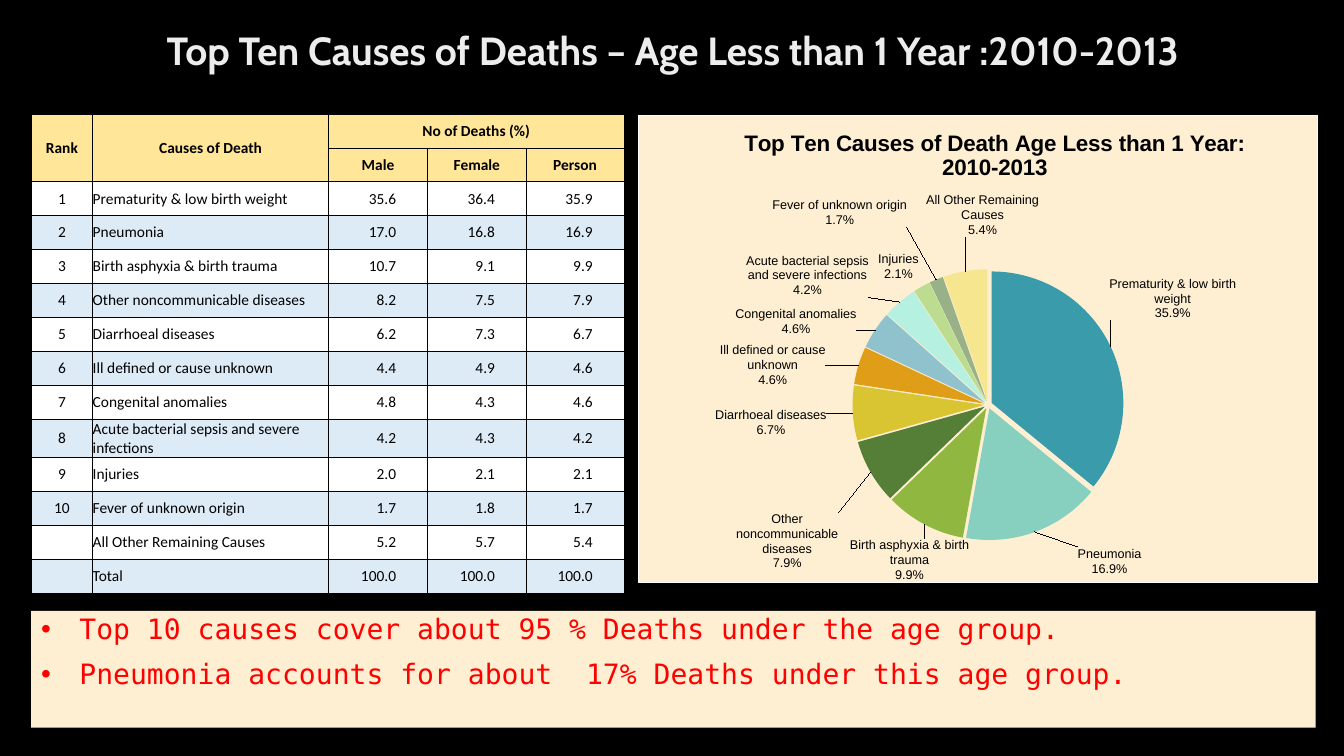
from lxml import etree
from pptx import Presentation
from pptx.chart.data import CategoryChartData
from pptx.dml.color import RGBColor
from pptx.enum.chart import XL_CHART_TYPE, XL_LABEL_POSITION
from pptx.enum.shapes import MSO_SHAPE
from pptx.enum.text import MSO_ANCHOR, PP_ALIGN
from pptx.oxml import parse_xml
from pptx.oxml.ns import nsdecls, qn
from pptx.util import Inches, Pt

PIE, OUTSIDE = XL_CHART_TYPE.PIE, XL_LABEL_POSITION.OUTSIDE_END
RECT, MIDDLE, TOP = MSO_SHAPE.RECTANGLE, MSO_ANCHOR.MIDDLE, MSO_ANCHOR.TOP
LEFT, CENTER, RIGHT, JUSTIFY = PP_ALIGN.LEFT, PP_ALIGN.CENTER, PP_ALIGN.RIGHT, PP_ALIGN.JUSTIFY

TITLE = "Top Ten Causes of Deaths – Age Less than 1 Year :2010-2013"
TITLE_STOPS = [(0, "BFBFBF"), (28, "EDEDED"), (100, "FFFFFF")]
NOTES = [
    "Top 10 causes cover about 95 % Deaths under the age group.",
    "Pneumonia accounts for about  17% Deaths under this age group.",
]
HEADER = [
    ("Rank", "Causes of Death", "No of Deaths (%)", "", ""),
    ("", "", "Male", "Female", "Person"),
]
CAUSES = [
    ("1", "Prematurity & low birth weight", 35.6, 36.4, 35.9),
    ("2", "Pneumonia", 17.0, 16.8, 16.9),
    ("3", "Birth asphyxia & birth trauma", 10.7, 9.1, 9.9),
    ("4", "Other noncommunicable diseases", 8.2, 7.5, 7.9),
    ("5", "Diarrhoeal diseases", 6.2, 7.3, 6.7),
    ("6", "Ill defined or cause unknown", 4.4, 4.9, 4.6),
    ("7", "Congenital anomalies", 4.8, 4.3, 4.6),
    ("8", "Acute bacterial sepsis and severe infections", 4.2, 4.3, 4.2),
    ("9", "Injuries", 2.0, 2.1, 2.1),
    ("10", "Fever of unknown origin", 1.7, 1.8, 1.7),
    ("", "All Other Remaining Causes", 5.2, 5.7, 5.4),
]
TOTAL = ("", "Total", 100.0, 100.0, 100.0)
MERGES = [((0, 0), (1, 0)), ((0, 1), (1, 1)), ((0, 2), (0, 4))]
COLUMNS = [0.61, 2.34, 0.98, 0.98, 0.97]
TABLE_HEIGHT, TALL_ROW, TALL_HEIGHT = 4.74, 9, 0.36
CHART_TITLE = "Top Ten Causes of Death Age Less than 1 Year: 2010-2013"
SLICES = ["3A9BAA", "87CFBE", "90B840", "557F37", "D9C432", "E09D18",
          "90C2CD", "B6F0E1", "BCDC90", "99B189", "F6E68F"]
LABEL_SHIFTS = [(-0.01, -0.05), (0.06, 0.02), (0.07, 0.02), (-0.04, 0.08),
                (-0.03, 0.02), (-0.04, 0.05), (-0.02, 0.02), (-0.04, 0),
                (0, 0), (-0.04, -0.1), (0.11, -0.06)]
CREAM = "FEEFD2"


def rgb(value):
    return RGBColor.from_string(value)


def box(*lengths):
    return [Inches(v) for v in lengths]


def add_text(p, text, size, font, color, bold=False):
    r = p.add_run()
    r.text = text
    r.font.size, r.font.name, r.font.bold = Pt(size), font, bold
    r.font.color.rgb = rgb(color)
    return r


def add_title(s):
    sp = s.shapes.title
    sp.left, sp.top, sp.width, sp.height = box(0.92, 0.19, 11.5, 0.67)
    sp.text_frame.vertical_anchor = MIDDLE
    p = sp.text_frame.paragraphs[0]
    p.alignment, p.line_spacing = CENTER, 0.9
    r = add_text(p, TITLE, 28, "Cabin", "EDEDED", True)
    stops = "".join(f'<a:gs pos="{pos * 1000}"><a:srgbClr val="{c}"/></a:gs>' for pos, c in TITLE_STOPS)
    rpr = r.font.fill._xPr
    rpr.replace(rpr.find(qn("a:solidFill")), parse_xml(
        f'<a:gradFill {nsdecls("a")}><a:gsLst>{stops}</a:gsLst><a:lin ang="4800000"/></a:gradFill>'))


def add_notes(s):
    sp = s.shapes.add_shape(RECT, *box(0.31, 6.06, 12.74, 1.16))
    sp.shadow.inherit = False
    sp.fill.solid()
    sp.fill.fore_color.rgb = rgb(CREAM)
    sp.line.fill.background()
    tf = sp.text_frame
    tf.word_wrap, tf.vertical_anchor = True, TOP
    for i, note in enumerate(NOTES):
        p = tf.add_paragraph() if i else tf.paragraphs[0]
        ppr = p._p.get_or_add_pPr()
        ppr.set("marL", str(Inches(0.38)))
        ppr.set("indent", str(-Inches(0.38)))
        ppr.append(parse_xml(f'<a:buFont {nsdecls("a")} typeface="Arial"/>'))
        ppr.append(parse_xml(f'<a:buChar {nsdecls("a")} char="•"/>'))
        p.alignment, p.line_spacing = JUSTIFY, 0.9
        p.space_before = Pt(10 if i else 0)
        add_text(p, note, 20, "DejaVu Sans Mono", "FF0000")


def format_cell(cell, row, col, value):
    header = row < len(HEADER)
    number = isinstance(value, float)
    cell.vertical_anchor = MIDDLE
    cell.margin_left = cell.margin_top = cell.margin_bottom = 0
    cell.margin_right = Inches(0.31 if number else 0)
    p = cell.text_frame.paragraphs[0]
    p.alignment = RIGHT if number else CENTER if header or col == 0 else LEFT
    if value != "":
        add_text(p, f"{value:.1f}" if number else value, 11, "Calibri", "000000", header)
    tcpr = cell._tc.get_or_add_tcPr()
    for side in ("lnL", "lnR", "lnT", "lnB"):
        tcpr.append(parse_xml(
            f'<a:{side} {nsdecls("a")} w="6350"><a:solidFill><a:srgbClr val="000000"/></a:solidFill></a:{side}>'))
    cell.fill.solid()
    cell.fill.fore_color.rgb = rgb("FFE699" if header else ("FFFFFF", "DDEBF7")[row % 2])


def add_causes_table(s):
    rows = HEADER + CAUSES + [TOTAL]
    table = s.shapes.add_table(len(rows), len(COLUMNS),
                               *box(0.31, 1.13, sum(COLUMNS), TABLE_HEIGHT)).table
    for col, width in enumerate(COLUMNS):
        table.columns[col].width = Inches(width)
    row_height = (TABLE_HEIGHT - TALL_HEIGHT) / (len(rows) - 1)
    for i, values in enumerate(rows):
        table.rows[i].height = Inches(TALL_HEIGHT if i == TALL_ROW else row_height)
        for col, value in enumerate(values):
            format_cell(table.cell(i, col), i, col, value)
    for first, last in MERGES:
        table.cell(*first).merge(table.cell(*last))


def layout_xml(x, y, extra=""):
    return (f'<c:layout {nsdecls("c")}><c:manualLayout>{extra}'
            f'<c:x val="{x}"/><c:y val="{y}"/></c:manualLayout></c:layout>')


def add_pie(s):
    data = CategoryChartData()
    data.categories = [cause[1] for cause in CAUSES]
    data.add_series("Series 1", [cause[-1] for cause in CAUSES])
    chart = s.shapes.add_chart(PIE, *box(6.33, 1.14, 6.74, 4.64), data).chart
    chart.font.size, chart.font.name = Pt(10), "Arial"
    chart.font.color.rgb = rgb("000000")
    chart.has_legend = False
    chart.has_title = True
    add_text(chart.chart_title.text_frame.paragraphs[0], CHART_TITLE, 16, "Arial", "000000", True)
    title = chart.chart_title._element
    for old in title.findall(qn("c:layout")):
        title.remove(old)
    edges = '<c:xMode val="edge"/><c:yMode val="edge"/>'
    title.find(qn("c:tx")).addnext(parse_xml(layout_xml(0.15, 0.02, edges)))

    plot = chart.plots[0]
    plot.vary_by_categories = True
    series = plot.series[0]
    for i, color in enumerate(SLICES):
        fill = series.points[i].format.fill
        fill.solid()
        fill.fore_color.rgb = rgb(color)
    series._element.find(qn("c:dPt")).addprevious(
        parse_xml(f'<c:explosion {nsdecls("c")} val="3"/>'))

    labels = series.data_labels
    labels.font.size, labels.font.name = Pt(9), "Arial"
    labels.font.color.rgb = rgb("000000")
    labels.number_format, labels.number_format_is_linked = "0.0%", False
    labels.position = OUTSIDE
    labels.show_value, labels.show_category_name, labels.show_percentage = False, True, True
    shows = "".join(f'<c:{tag} val="{on}"/>' for tag, on in [
        ("dLblPos", "outEnd"), ("showLegendKey", 0), ("showVal", 0), ("showCatName", 1),
        ("showSerName", 0), ("showPercent", 1), ("showBubbleSize", 0)])
    for i, shift in enumerate(LABEL_SHIFTS):
        labels._element.insert(i, parse_xml(
            f'<c:dLbl {nsdecls("c")}><c:idx val="{i}"/>{layout_xml(*shift)}{shows}'
            '<c:separator>\n</c:separator></c:dLbl>'))
    for old in labels._element.findall(qn("c:showLeaderLines")):
        labels._element.remove(old)
    etree.SubElement(labels._element, qn("c:separator")).text = "\n"
    etree.SubElement(labels._element, qn("c:showLeaderLines")).set("val", "1")

    area = chart._chartSpace.find(qn("c:chart"))
    plot_area = area.find(qn("c:plotArea"))
    for old in plot_area.findall(qn("c:layout")):
        plot_area.remove(old)
    plot_layout = parse_xml(layout_xml(0.2, 0.33, '<c:layoutTarget val="inner"/>' + edges))
    for tag, share in (("w", 0.63), ("h", 0.58)):
        etree.SubElement(plot_layout[0], qn(f"c:{tag}")).set("val", str(share))
    plot_area.insert(0, plot_layout)
    area.addnext(parse_xml(
        f'<c:spPr {nsdecls("c", "a")}><a:solidFill><a:srgbClr val="{CREAM}"/></a:solidFill>'
        '<a:ln w="3175"><a:solidFill><a:srgbClr val="FFFFFF"/></a:solidFill></a:ln></c:spPr>'))


def main():
    prs = Presentation()
    prs.slide_width, prs.slide_height = box(13.33, 7.5)
    s = prs.slides.add_slide(prs.slide_layouts[5])
    s.background.fill.solid()
    s.background.fill.fore_color.rgb = rgb("000000")
    add_title(s)
    add_notes(s)
    add_causes_table(s)
    add_pie(s)
    prs.save("out.pptx")


if __name__ == "__main__":
    main()
